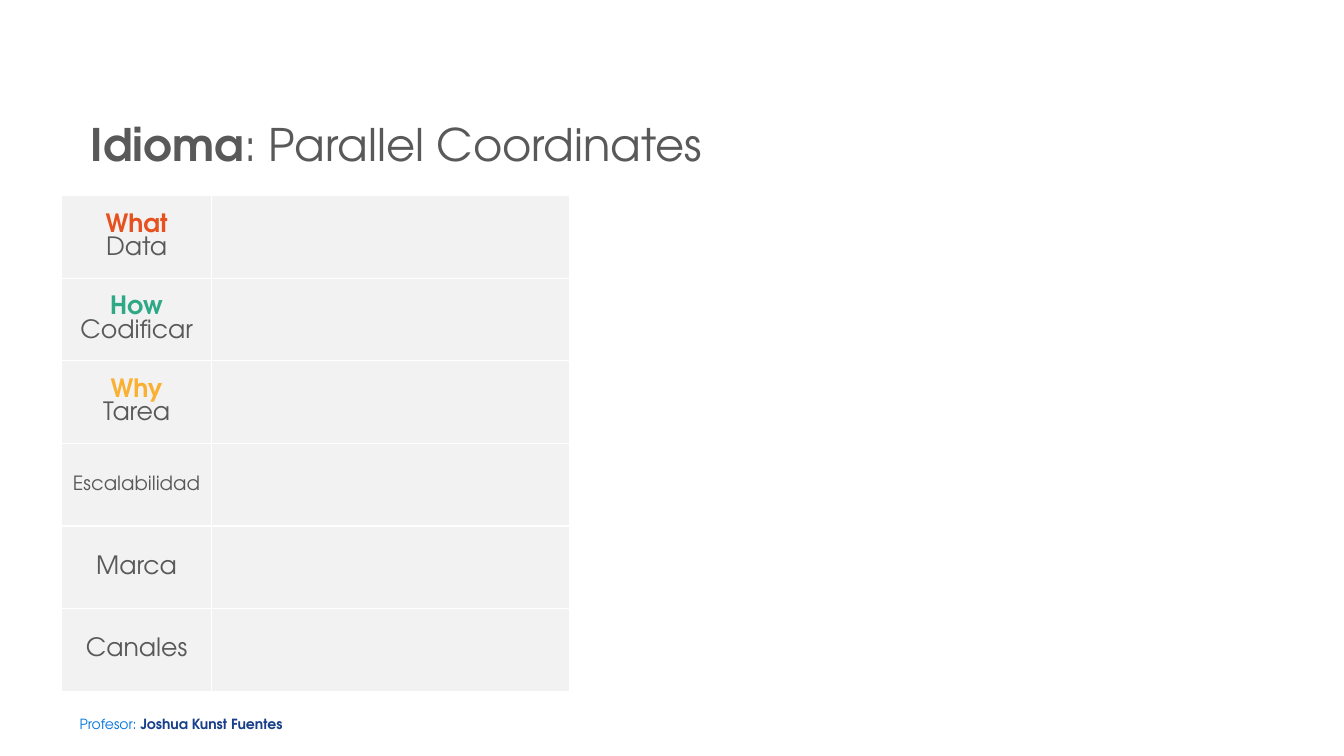
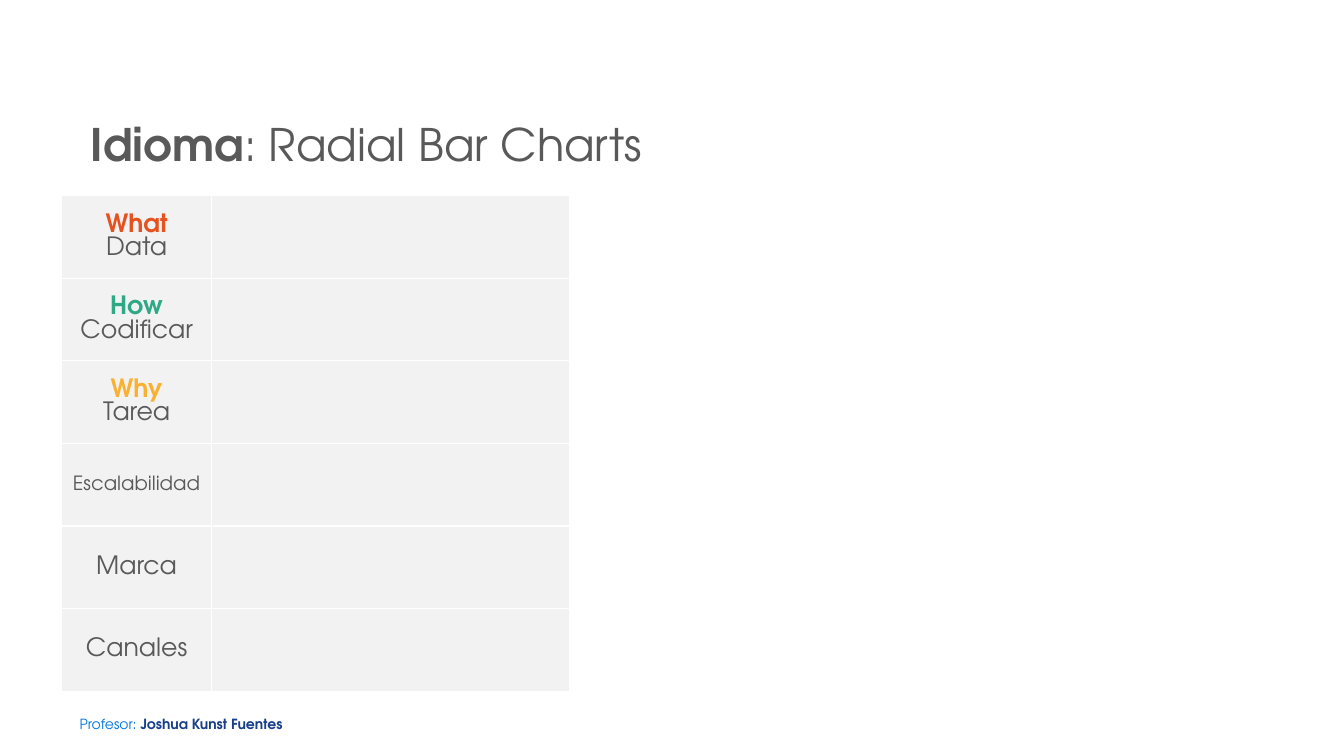
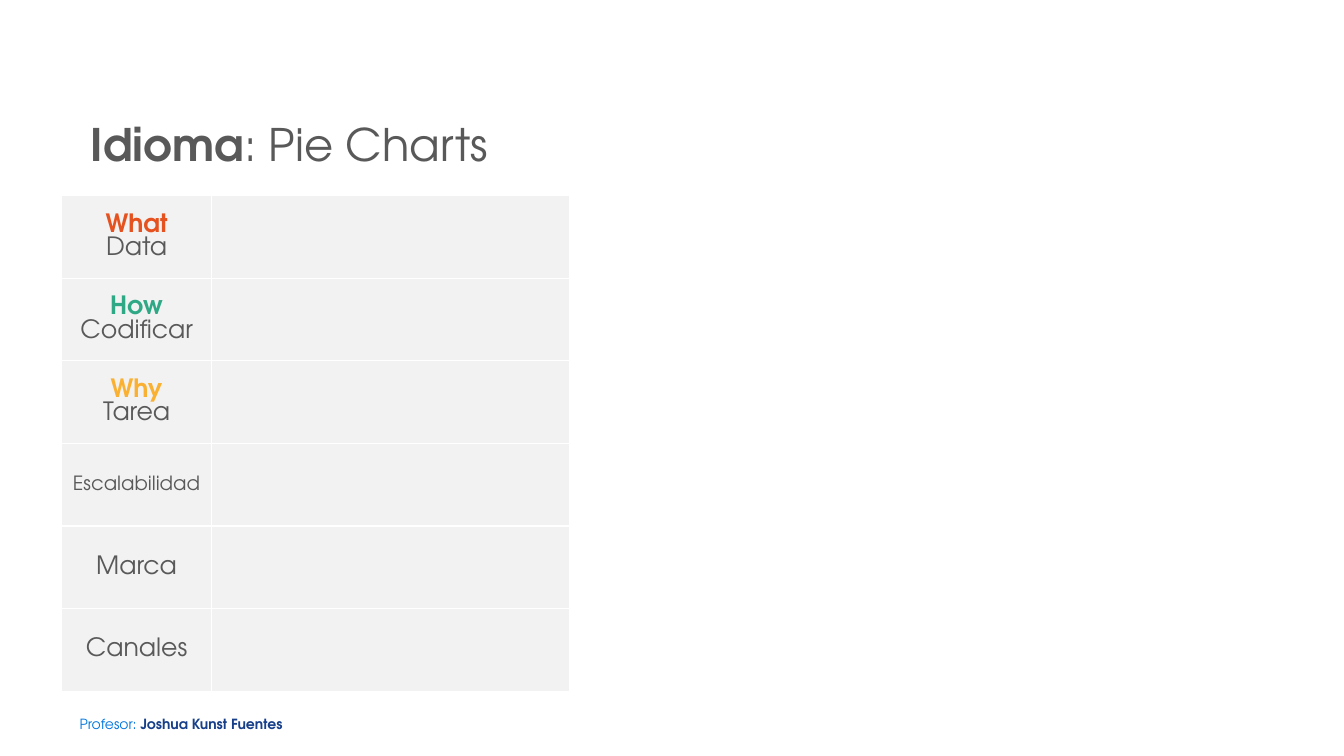
import pptx
import pptx.dml.color
import pptx.enum.text
import pptx.oxml
import pptx.oxml.ns
import pptx.util
from pptx.util import Inches, Pt

THEME = {
    "font": "TeX Gyre Adventor",
    "colors": {
        "text": "595959", "cell": "F2F2F2", "border": "FFFFFF",
        "what": "E5521F", "how": "2FA886", "why": "FAB030",
        "role": "0176DE", "name": "173F8A",
    },
    "sizes": {"title": 32, "label": 18, "small": 14, "footer": 10},
}

IDIOMS = ["Parallel Coordinates", "Radial Bar Charts", "Pie Charts"]

# Each row label is a list of lines: (text, size, color, bold)
ROW_LABELS = [
    [("What", "label", "what", True), ("Data", "label", "text", False)],
    [("How", "label", "how", True), ("Codificar", "label", "text", False)],
    [("Why", "label", "why", True), ("Tarea", "label", "text", False)],
    [("Escalabilidad", "small", "text", False)],
    [("Marca", "label", "text", False)],
    [("Canales", "label", "text", False)],
]
FOOTER = [("Profesor: ", "footer", "role", False),
          ("Joshua Kunst Fuentes", "footer", "name", True)]

TITLE_AREA = (0.8, 0.65, 10.39, 1.01)
FOOTER_AREA = (0.79, 6.96, 2.19, 0.26)
TABLE_LEFT, TABLE_TOP = 0.61, 1.94
COLUMN_WIDTHS = (1.49, 3.55)
ROW_HEIGHT = 0.82
BORDER_WIDTH = Pt(1)


def rgb(color):
    return pptx.dml.color.RGBColor.from_string(THEME["colors"][color])


def add_span(para, text, size, color, bold):
    span = para.add_run()
    span.text = text
    style = {"name": THEME["font"], "size": Pt(THEME["sizes"][size]), "bold": bold}
    for attribute, value in style.items():
        setattr(span.font, attribute, value)
    span.font.color.rgb = rgb(color)


def add_line_of_text(page, area, spans, line_spacing, frame_format):
    box = page.shapes.add_textbox(*map(Inches, area))
    frame_format = {"word_wrap": True,
                    "auto_size": pptx.enum.text.MSO_AUTO_SIZE.SHAPE_TO_FIT_TEXT,
                    **frame_format}
    for attribute, value in frame_format.items():
        setattr(box.text_frame, attribute, value)
    para = box.text_frame.paragraphs[0]
    para.line_spacing = line_spacing
    for span in spans:
        add_span(para, *span)


def add_title(page, idiom):
    spans = [("Idioma", "title", "text", True), (f": {idiom}", "title", "text", False)]
    add_line_of_text(page, TITLE_AREA, spans, 2.0,
                     {"vertical_anchor": pptx.enum.text.MSO_ANCHOR.MIDDLE})


def add_footer(page):
    no_margins = {f"margin_{side}": 0 for side in ("left", "top", "right", "bottom")}
    add_line_of_text(page, FOOTER_AREA, FOOTER, Pt(22), no_margins)


def style_cell(cell):
    """Give the cell its borders, then its fill, in schema order."""
    properties = cell._tc.get_or_add_tcPr()
    for side in "LRTB":
        properties.append(pptx.oxml.parse_xml(
            f'<a:ln{side} {pptx.oxml.ns.nsdecls("a")} w="{BORDER_WIDTH}"><a:solidFill>'
            f'<a:srgbClr val="{THEME["colors"]["border"]}"/></a:solidFill></a:ln{side}>'))
    cell.fill.solid()
    cell.fill.fore_color.rgb = rgb("cell")
    cell.vertical_anchor = pptx.enum.text.MSO_ANCHOR.MIDDLE


def add_analysis_table(page):
    table = page.shapes.add_table(
        len(ROW_LABELS), len(COLUMN_WIDTHS), Inches(TABLE_LEFT), Inches(TABLE_TOP),
        Inches(sum(COLUMN_WIDTHS)), Inches(ROW_HEIGHT * len(ROW_LABELS))).table
    table.first_row = table.horz_banding = False
    for column, width in zip(table.columns, COLUMN_WIDTHS):
        column.width = Inches(width)
    for row, lines in zip(table.rows, ROW_LABELS):
        row.height = Inches(ROW_HEIGHT)
        for cell in row.cells:
            style_cell(cell)
        frame = row.cells[0].text_frame
        for index, line in enumerate(lines):
            para = frame.add_paragraph() if index else frame.paragraphs[0]
            para.alignment = pptx.enum.text.PP_ALIGN.CENTER
            add_span(para, *line)


def main():
    deck = pptx.Presentation()
    deck.slide_width, deck.slide_height = Inches(13.33), Inches(7.5)
    for idiom in IDIOMS:
        page = deck.slides.add_slide(deck.slide_layouts[6])
        add_footer(page)
        add_title(page, idiom)
        add_analysis_table(page)
    deck.save("out.pptx")


if __name__ == "__main__":
    main()
